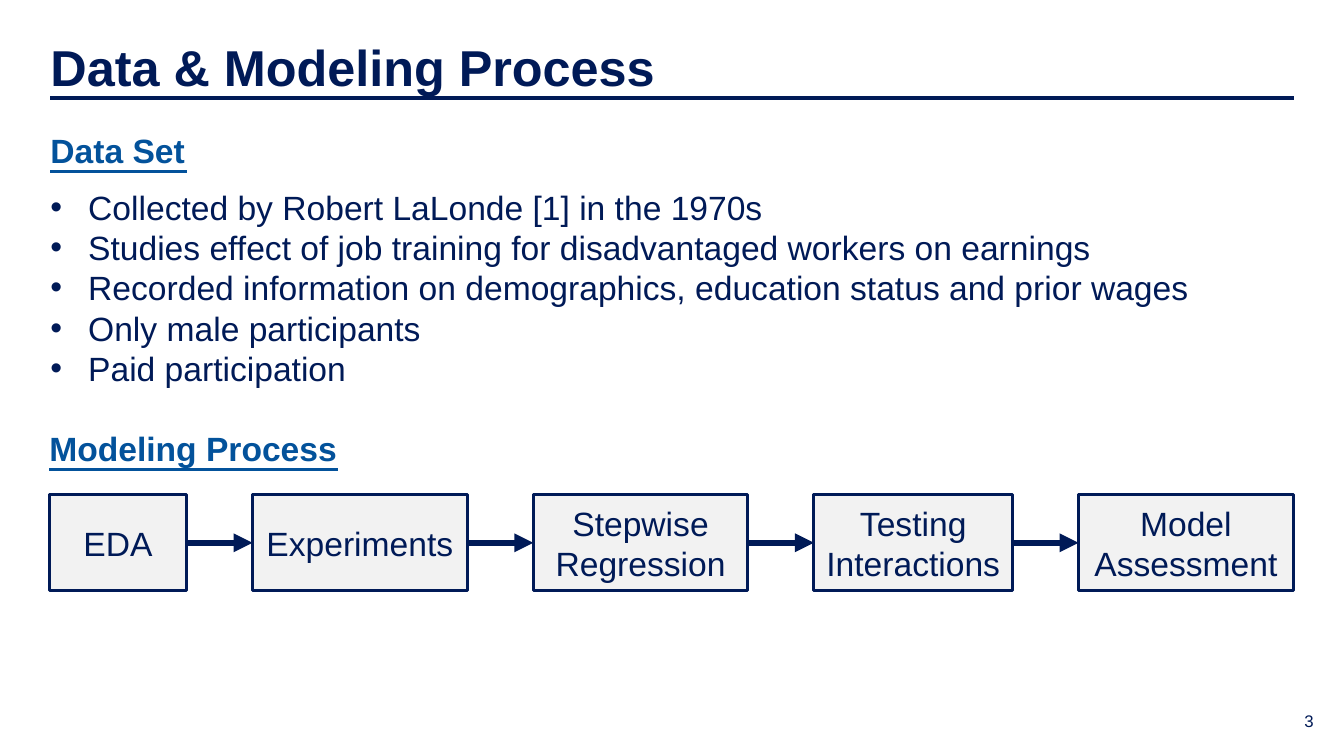
from dataclasses import dataclass
from typing import NamedTuple

from lxml import etree
from pptx import Presentation
from pptx import util as u
from pptx.dml.color import RGBColor
from pptx.enum import shapes, text
from pptx.oxml.ns import qn


@dataclass(frozen=True)
class Theme:
    font: str = "Arial"
    navy: RGBColor = RGBColor(0x00, 0x1A, 0x57)
    blue: RGBColor = RGBColor(0x03, 0x52, 0x9B)
    panel: RGBColor = RGBColor(0xF2, 0xF2, 0xF2)
    title: int = 36
    body: int = 24
    footer: int = 12
    title_rule: float = 3
    thin_rule: float = 2.25
    arrow: float = 4.5


class Area(NamedTuple):
    column: float
    row: float
    columns: float
    rows: float


@dataclass(frozen=True)
class Section:
    heading: str
    area: Area
    rule_row: float
    rule_columns: float


@dataclass(frozen=True)
class Step:
    label: str
    columns: float


THEME = Theme()
COLUMNS, ROWS = 160, 90
MARGIN = 6
STEP_LEFT, STEP_TOP, STEP_ROWS, STEP_GAP = 5.88, 58.92, 11.4, 7.86
BULLET_INDENT = 4.5

SECTIONS = (
    Section("Data Set", Area(MARGIN, 15.48, 31.2, 4.8), 20.4, 16.32),
    Section("Modeling Process", Area(STEP_LEFT, 51, 42.72, 4.8), 55.92, 34.32),
)
FACTS = (
    "Collected by Robert LaLonde [1] in the 1970s",
    "Studies effect of job training for disadvantaged workers on earnings",
    "Recorded information on demographics, education status and prior wages",
    "Only male participants",
    "Paid participation",
)
STEPS = (
    Step("EDA", 16.32),
    Step("Experiments", 25.56),
    Step("Stepwise Regression", 25.56),
    Step("Testing Interactions", 23.64),
    Step("Model Assessment", 25.56),
)

deck = Presentation()
deck.slide_width = u.Inches(13.333)
deck.slide_height = u.Inches(7.5)
page = deck.slides.add_slide(deck.slide_layouts[6])


def across(columns: float) -> int:
    return round(deck.slide_width * columns / COLUMNS)


def down(rows: float) -> int:
    return round(deck.slide_height * rows / ROWS)


def place(area: Area) -> tuple[int, int, int, int]:
    return across(area.column), down(area.row), across(area.columns), down(area.rows)


def style_paragraph(para, size: int, color: RGBColor, bold: bool = False) -> None:
    para.font.name = THEME.font
    para.font.size = u.Pt(size)
    para.font.bold = bold
    para.font.color.rgb = color


def add_text(area: Area, lines: tuple[str, ...], size: int, color: RGBColor,
             bold: bool = False, wrap: bool = True):
    frame = page.shapes.add_textbox(*place(area)).text_frame
    frame.margin_left = frame.margin_right = frame.margin_top = frame.margin_bottom = 0
    frame.word_wrap = wrap
    frame.auto_size = text.MSO_AUTO_SIZE.SHAPE_TO_FIT_TEXT
    frame.text = "\n".join(lines)
    for para in frame.paragraphs:
        style_paragraph(para, size, color, bold)
    return frame


def add_bullet(para) -> None:
    properties = para._p.get_or_add_pPr()
    properties.set("marL", str(across(BULLET_INDENT)))
    properties.set("indent", str(-across(BULLET_INDENT)))
    font = etree.Element(qn("a:buFont"), typeface=THEME.font)
    bullet = etree.Element(qn("a:buChar"), char="•")
    properties.insert(0, font)
    properties.insert(1, bullet)


def add_line(column: float, row: float, columns: float, color: RGBColor, width: float):
    line = page.shapes.add_connector(
        shapes.MSO_CONNECTOR.STRAIGHT,
        across(column), down(row), across(column + columns), down(row))
    line.line.color.rgb = color
    line.line.width = u.Pt(width)
    etree.SubElement(line._element.spPr, qn("a:effectLst"))
    return line


def add_step(step: Step, column: float):
    box = page.shapes.add_shape(
        shapes.MSO_SHAPE.RECTANGLE,
        *place(Area(column, STEP_TOP, step.columns, STEP_ROWS)))
    box.shadow.inherit = False
    box.fill.solid()
    box.fill.fore_color.rgb = THEME.panel
    box.line.color.rgb = THEME.navy
    box.line.width = u.Pt(THEME.thin_rule)
    frame = box.text_frame
    frame.word_wrap = True
    frame.vertical_anchor = text.MSO_ANCHOR.MIDDLE
    para = frame.paragraphs[0]
    para.text = step.label
    para.alignment = text.PP_ALIGN.CENTER
    style_paragraph(para, THEME.body, THEME.navy)
    return box


def add_arrow(source, target, column: float) -> None:
    arrow = add_line(column, STEP_TOP + STEP_ROWS / 2, STEP_GAP, THEME.navy, THEME.arrow)
    arrow.begin_connect(source, 3)
    arrow.end_connect(target, 1)
    etree.SubElement(arrow.line._get_or_add_ln(), qn("a:tailEnd"), type="triangle")


def add_process(steps: tuple[Step, ...]) -> None:
    column, previous = STEP_LEFT, None
    for step in steps:
        box = add_step(step, column)
        if previous is not None:
            add_arrow(previous, box, column - STEP_GAP)
        column += step.columns + STEP_GAP
        previous = box


def add_page_number(number: str) -> None:
    frame = page.shapes.add_textbox(*place(Area(121.56, 83.4, 36, 4.8))).text_frame
    frame.word_wrap = True
    frame.vertical_anchor = text.MSO_ANCHOR.MIDDLE
    para = frame.paragraphs[0]
    para.text = number
    para.alignment = text.PP_ALIGN.RIGHT
    style_paragraph(para, THEME.footer, THEME.navy)


def main() -> None:
    add_page_number("3")
    add_text(Area(MARGIN, 4.32, 72.72, 7.32), ("Data & Modeling Process",),
             THEME.title, THEME.navy, bold=True, wrap=False)
    add_line(MARGIN, 11.64, COLUMNS - 2 * MARGIN, THEME.navy, THEME.title_rule)
    add_process(STEPS)
    facts = add_text(Area(MARGIN, 22.2, 147.72, 24.24), FACTS, THEME.body, THEME.navy)
    for para in facts.paragraphs:
        add_bullet(para)
    for section in SECTIONS:
        add_text(section.area, (section.heading,), THEME.body, THEME.blue, bold=True)
        add_line(section.area.column, section.rule_row, section.rule_columns,
                 THEME.blue, THEME.thin_rule)
    deck.save("out.pptx")


if __name__ == "__main__":
    main()
